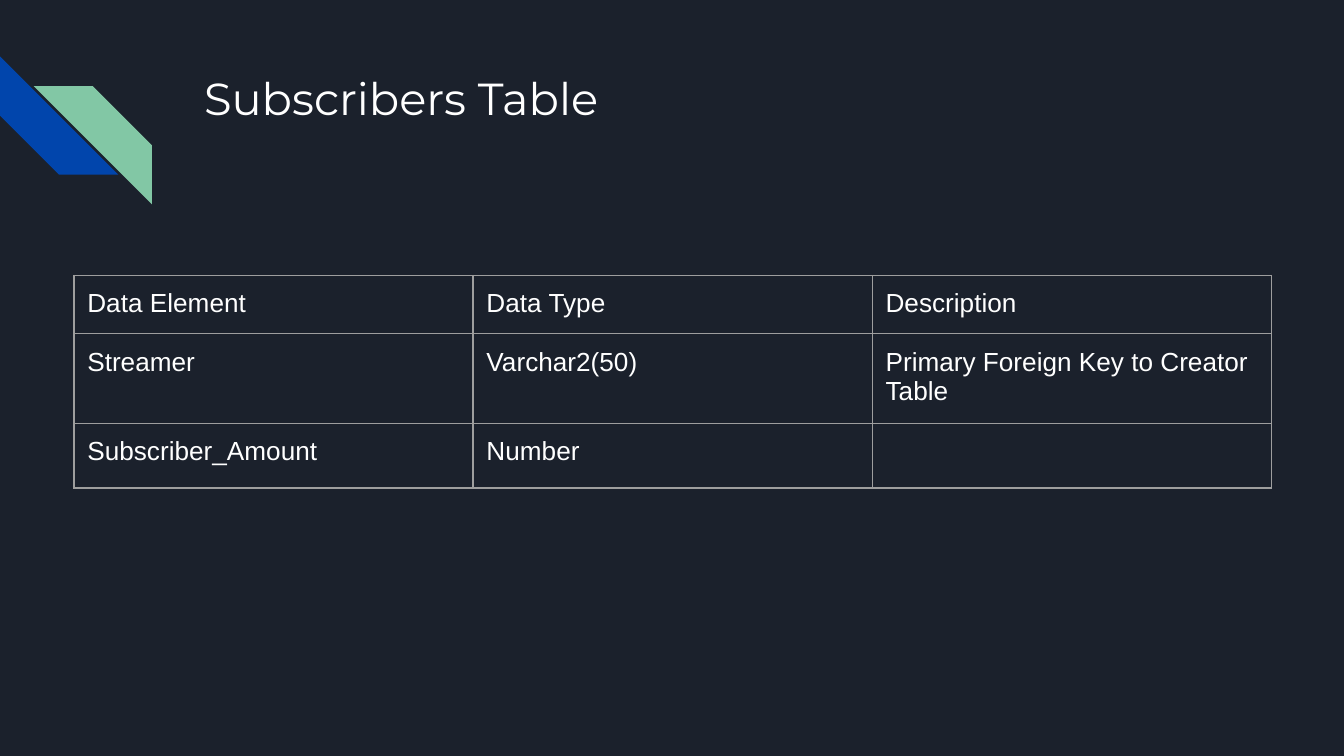
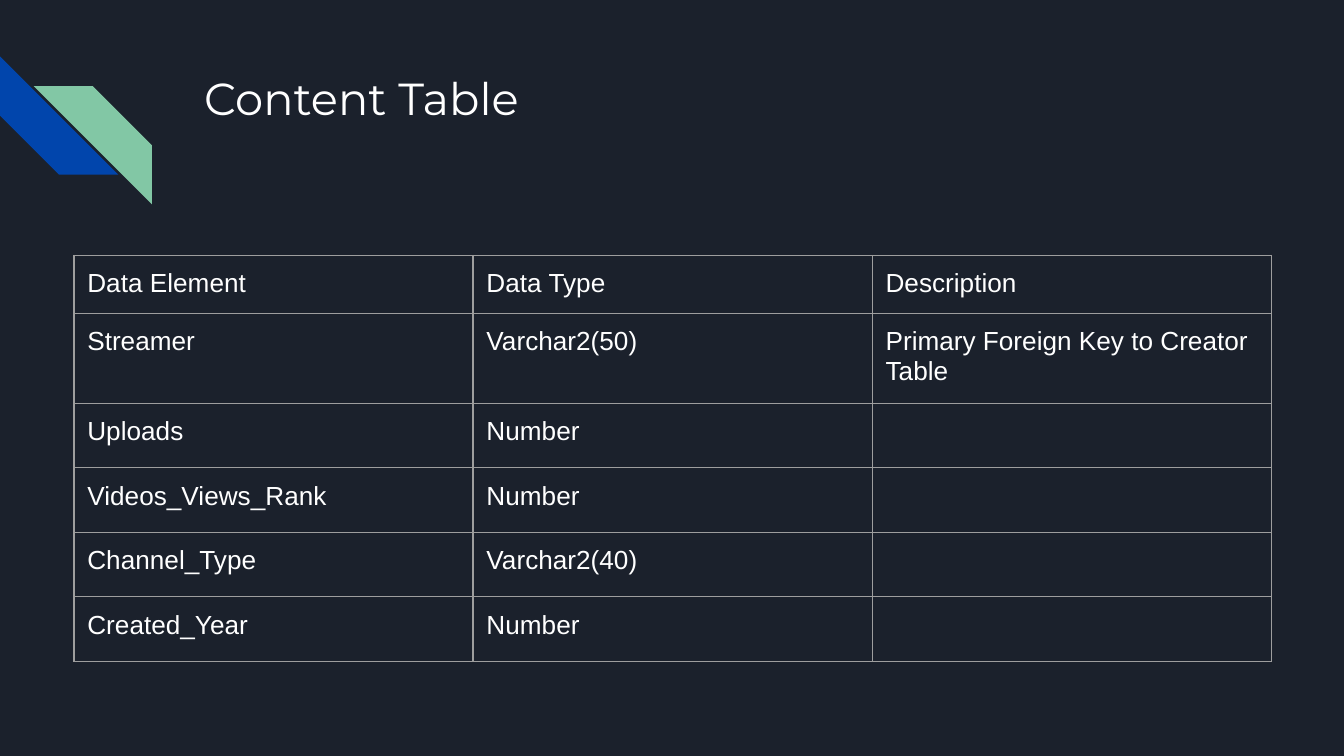
from lxml.etree import SubElement
from pptx import Presentation
from pptx.dml.color import RGBColor
from pptx.enum.shapes import MSO_SHAPE
from pptx.oxml.ns import qn
from pptx.util import Inches, Pt

# Content
HEADER = ("Data Element", "Data Type", "Description")
KEY_ROW = ("Streamer", "Varchar2(50)", "Primary Foreign Key to Creator Table")
SLIDES = [
    {"title": "Subscribers Table", "table_top": 2.05,
     "fields": [("Subscriber_Amount", "Number", "")]},
    {"title": "Content Table", "table_top": 1.9,
     "fields": [("Uploads", "Number", ""),
                ("Videos_Views_Rank", "Number", ""),
                ("Channel_Type", "Varchar2(40)", ""),
                ("Created_Year", "Number", "")]},
]

# Shared style
BACKGROUND, BLUE, GREEN = "1B212C", "0145AC", "82C7A5"
WHITE, GRID = "FFFFFF", "9E9E9E"
STRIPE_SIZE = 0.88
TABLE_LEFT, COLUMN_WIDTH = 0.55, 2.97
HEADER_HEIGHT, KEY_HEIGHT, FIELD_HEIGHT = 0.42, 0.63, 0.48
MARGIN = Inches(0.1)


def color(value):
    return RGBColor.from_string(value)


def write(paragraph, text, font, size):
    paragraph.text = text
    # Runs carry the font too, so that it also sets the line height
    for part in (paragraph, *paragraph.runs):
        part.font.name = font
        part.font.size = Pt(size)
        part.font.color.rgb = color(WHITE)


def set_margins(frame):
    frame.margin_left = frame.margin_right = MARGIN
    frame.margin_top = frame.margin_bottom = MARGIN


def add_stripe(slide, left, top, fill):
    shape = slide.shapes.add_shape(MSO_SHAPE.DIAGONAL_STRIPE, Inches(left), Inches(top),
                                   Inches(STRIPE_SIZE), Inches(STRIPE_SIZE))
    shape.adjustments[0] = 0.5
    shape.shadow.inherit = False
    shape.fill.solid()
    shape.fill.fore_color.rgb = color(fill)
    shape.line.fill.background()
    return shape


def add_frame(slide, title):
    # Corner stripes
    add_stripe(slide, 0, 0.42, BLUE).rotation = 270
    green = add_stripe(slide, 0.25, 0.64, GREEN)
    green.element.spPr.find(qn("a:xfrm")).set("flipH", "1")

    # Title
    box = slide.shapes.add_textbox(Inches(1.42), Inches(0.43), Inches(7.7), Inches(1))
    box.text_frame.word_wrap = True
    set_margins(box.text_frame)
    write(box.text_frame.paragraphs[0], title, "Montserrat", 24)


def add_borders(cell):
    properties = cell._tc.get_or_add_tcPr()
    for side in ("a:lnL", "a:lnR", "a:lnT", "a:lnB"):
        line = SubElement(properties, qn(side), w=str(Pt(0.75)))
        fill = SubElement(line, qn("a:solidFill"))
        SubElement(fill, qn("a:srgbClr"), val=GRID)


def add_field_table(slide, top, fields):
    rows = [HEADER, KEY_ROW, *fields]
    heights = [HEADER_HEIGHT, KEY_HEIGHT] + [FIELD_HEIGHT] * len(fields)
    table = slide.shapes.add_table(
        len(rows), len(HEADER), Inches(TABLE_LEFT), Inches(top),
        Inches(COLUMN_WIDTH * len(HEADER)), Inches(sum(heights))).table
    table.first_row = table.horz_banding = False
    for column in table.columns:
        column.width = Inches(COLUMN_WIDTH)
    for row, height, texts in zip(table.rows, heights, rows):
        row.height = Inches(height)
        for cell, text in zip(row.cells, texts):
            set_margins(cell)
            add_borders(cell)
            cell.fill.background()
            write(cell.text_frame.paragraphs[0], text, "Arial", 14)


def main():
    presentation = Presentation()
    presentation.slide_width = Inches(10)
    presentation.slide_height = presentation.slide_width * 9 // 16
    background = presentation.slide_master.background.fill
    background.solid()
    background.fore_color.rgb = color(BACKGROUND)

    for content in SLIDES:
        slide = presentation.slides.add_slide(presentation.slide_layouts[6])
        add_frame(slide, content["title"])
        add_field_table(slide, content["table_top"], content["fields"])
    presentation.save("out.pptx")


if __name__ == "__main__":
    main()
